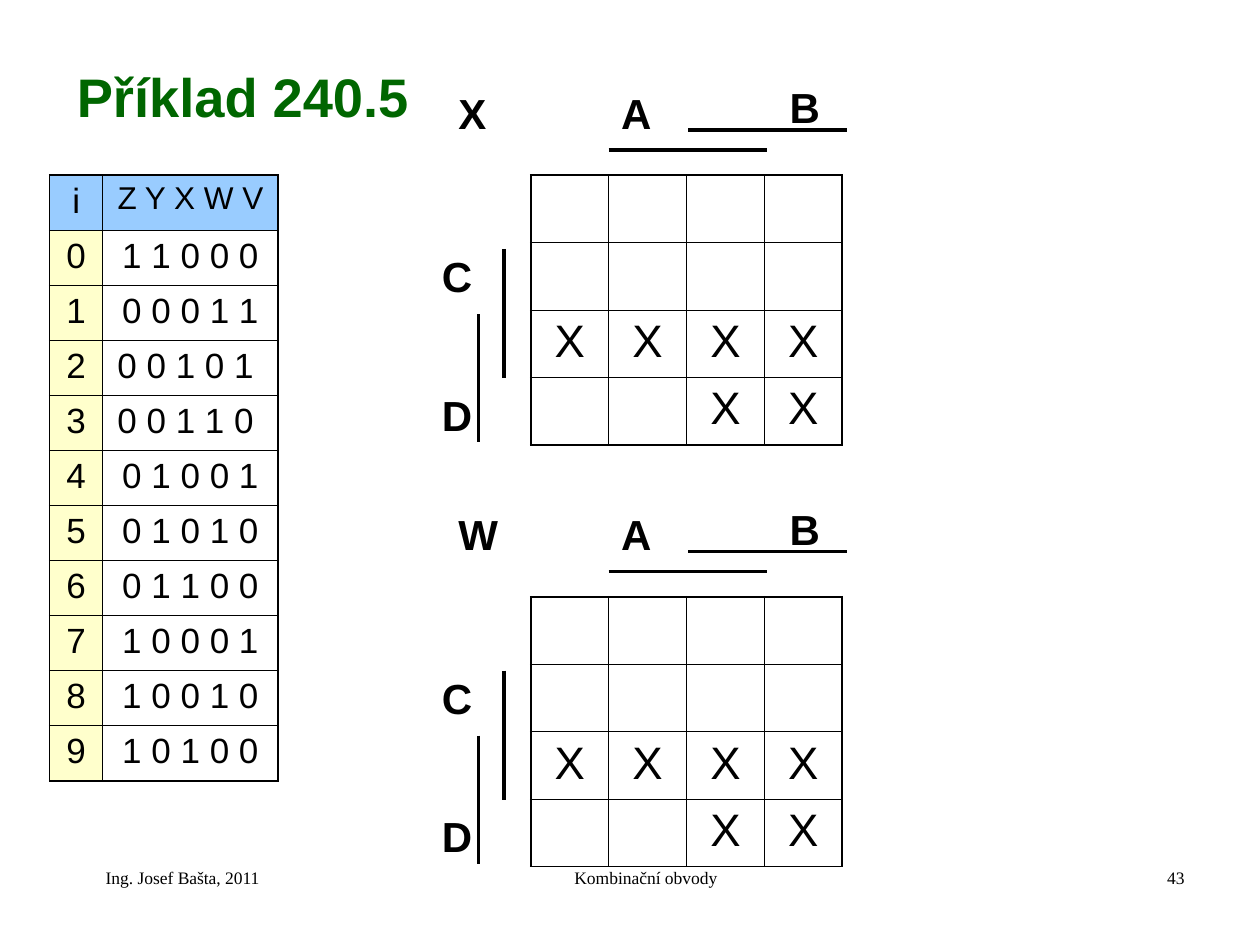
"""Build the slide with a code table and two Karnaugh maps."""
from lxml import etree
from pptx import Presentation
from pptx.dml.color import RGBColor
from pptx.enum.shapes import MSO_CONNECTOR
from pptx.enum.text import MSO_ANCHOR, PP_ALIGN
from pptx.oxml.ns import qn
from pptx.util import Cm, Pt

LEFT, CENTER, RIGHT = PP_ALIGN.LEFT, PP_ALIGN.CENTER, PP_ALIGN.RIGHT
TOP, BOTTOM = MSO_ANCHOR.TOP, MSO_ANCHOR.BOTTOM
STRAIGHT = MSO_CONNECTOR.STRAIGHT
COLORS = {"black": "000000", "title": "006600", "header": "99CCFF",
          "index": "FFFFCC", "code": "FFFFFF"}
THIN, THICK = 0.45, 1.08


def add_text(shapes, text, box, size, color="black", font="Arial", bold=True,
             align=LEFT, anchor=TOP, indent=0.25):
    tb = shapes.add_textbox(*[Cm(v) for v in box])
    tf = tb.text_frame
    tf.word_wrap = True
    tf.vertical_anchor = anchor
    tf.margin_left = Cm(indent)
    p = tf.paragraphs[0]
    p.text = text
    p.alignment = align
    p.font.name, p.font.size, p.font.bold = font, Pt(size), bold
    p.font.color.rgb = RGBColor.from_string(COLORS[color])


def add_grid(shapes, rows, left, top, widths, height, size):
    n_rows, n_cols = len(rows), len(widths)
    table = shapes.add_table(n_rows, n_cols, Cm(left), Cm(top),
                             Cm(sum(widths)), Cm(height * n_rows)).table
    table.first_row = table.horz_banding = False
    for col, width in zip(table.columns, widths):
        col.width = Cm(width)
    for i, values in enumerate(rows):
        table.rows[i].height = Cm(height)
        for j, value in enumerate(values):
            cell = table.cell(i, j)
            edges = {"a:lnL": j == 0, "a:lnR": j == n_cols - 1,
                     "a:lnT": i == 0, "a:lnB": i == n_rows - 1}
            tcPr = cell._tc.get_or_add_tcPr()
            for tag, outer in edges.items():
                ln = etree.SubElement(tcPr, qn(tag), w=str(Pt(THICK if outer else THIN)))
                fill = etree.SubElement(ln, qn("a:solidFill"))
                etree.SubElement(fill, qn("a:srgbClr"), val=COLORS["black"])
            cell.fill.background()
            p = cell.text_frame.paragraphs[0]
            p.text = value
            p.alignment = CENTER
            p.font.name, p.font.size = "Arial", Pt(size)
            p.font.color.rgb = RGBColor.from_string(COLORS["black"])
    return table


prs = Presentation()
prs.slide_width, prs.slide_height = Cm(25.4), Cm(19.05)
s = prs.slides.add_slide(prs.slide_layouts[6])

add_text(s.shapes, "Příklad 240.5", (1.3, 0.91, 8.99, 1.8), 31, "title", anchor=BOTTOM)

codes = ["1 1 0 0 0", "0 0 0 1 1", "0 0 1 0 1 ", "0 0 1 1 0 ", "0 1 0 0 1",
         "0 1 0 1 0", "0 1 1 0 0", "1 0 0 0 1", "1 0 0 1 0", "1 0 1 0 0"]
code_rows = [("i", "Z Y X W V")] + [(str(i), code) for i, code in enumerate(codes)]
code_table = add_grid(s.shapes, code_rows, 1, 3.53, [1.07, 3.54], 1.11, 20)
code_table.cell(0, 1).text_frame.paragraphs[0].font.size = Pt(18)
for i in range(len(code_rows)):
    for j, body in enumerate(("index", "code")):
        fill = code_table.cell(i, j).fill
        fill.solid()
        fill.fore_color.rgb = RGBColor.from_string(COLORS["header" if i == 0 else body])

map_rows = [[""] * 4, [""] * 4, ["X"] * 4, ["", "", "X", "X"]]
map_lines = [(12.27, 3.02, 15.47, 3.02), (13.87, 2.62, 17.07, 2.62),
             (10.16, 5.02, 10.16, 7.62), (9.65, 6.33, 9.65, 8.92)]
map_labels = [("A", 12.27, 1.63), ("B", 15.67, 1.52), ("C", 8.66, 4.93), ("D", 8.66, 7.72)]

for output, dy in (("X", 0), ("W", 8.5)):
    add_grid(s.shapes, map_rows, 10.7, 3.53 + dy, [1.57] * 4, 1.36, 26)
    group = s.shapes.add_group_shape()
    for x1, y1, x2, y2 in map_lines:
        line = group.shapes.add_connector(STRAIGHT, Cm(x1), Cm(y1 + dy), Cm(x2), Cm(y2 + dy))
        line.line.width = Pt(2)
        line.line.color.rgb = RGBColor.from_string(COLORS["black"])
        etree.SubElement(line._element.spPr, qn("a:effectLst"))
    for label, x, y in map_labels:
        add_text(group.shapes, label, (x, y + dy, 1.19, 1.27), 24)
    add_text(group.shapes, output, (8.99, 1.63 + dy, 1.9, 1.27), 24)

footers = [("Kombinační obvody", 8.69, 8.05, CENTER), ("43", 18.21, 5.92, RIGHT),
           ("Ing. Josef Bašta, 2011", 1.27, 5.92, LEFT)]
for text, x, width, align in footers:
    add_text(s.shapes, text, (x, 17.35, width, 1.27), 10, font="Times New Roman",
             bold=False, align=align, indent=0.86)

prs.save("out.pptx")
